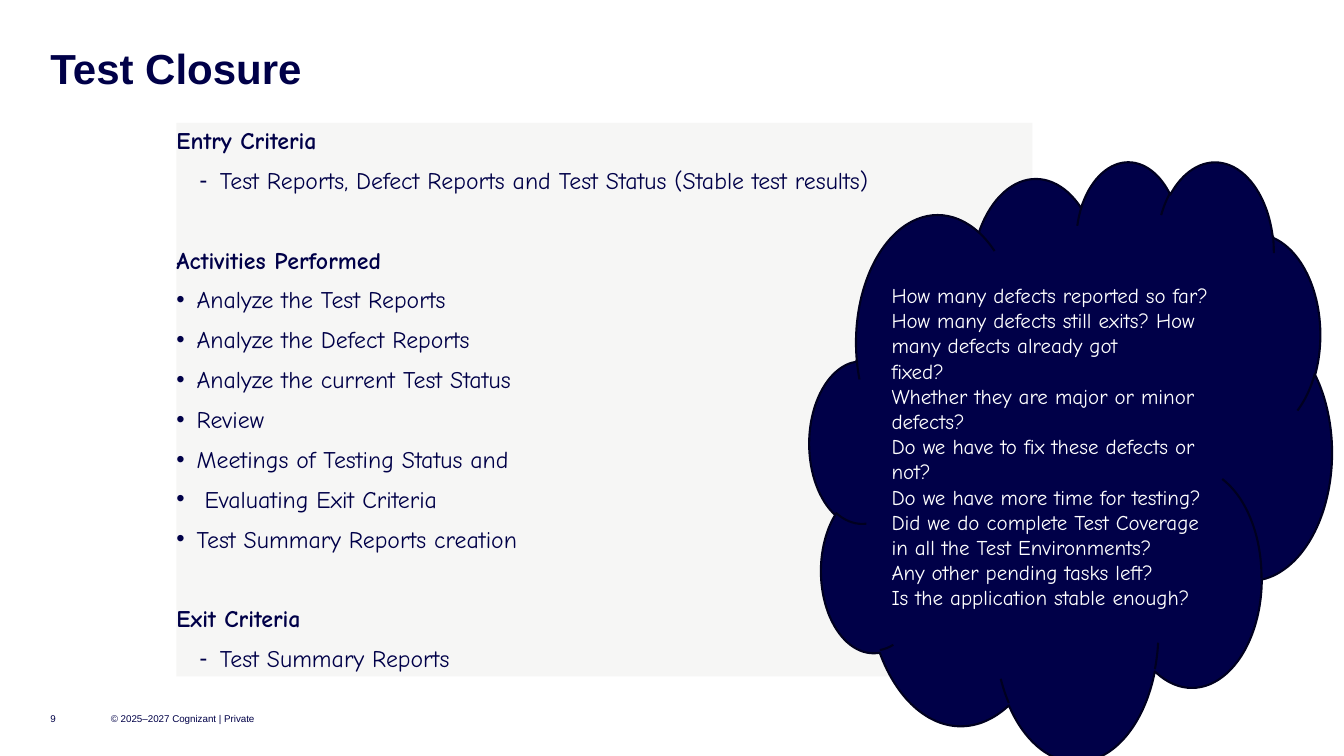
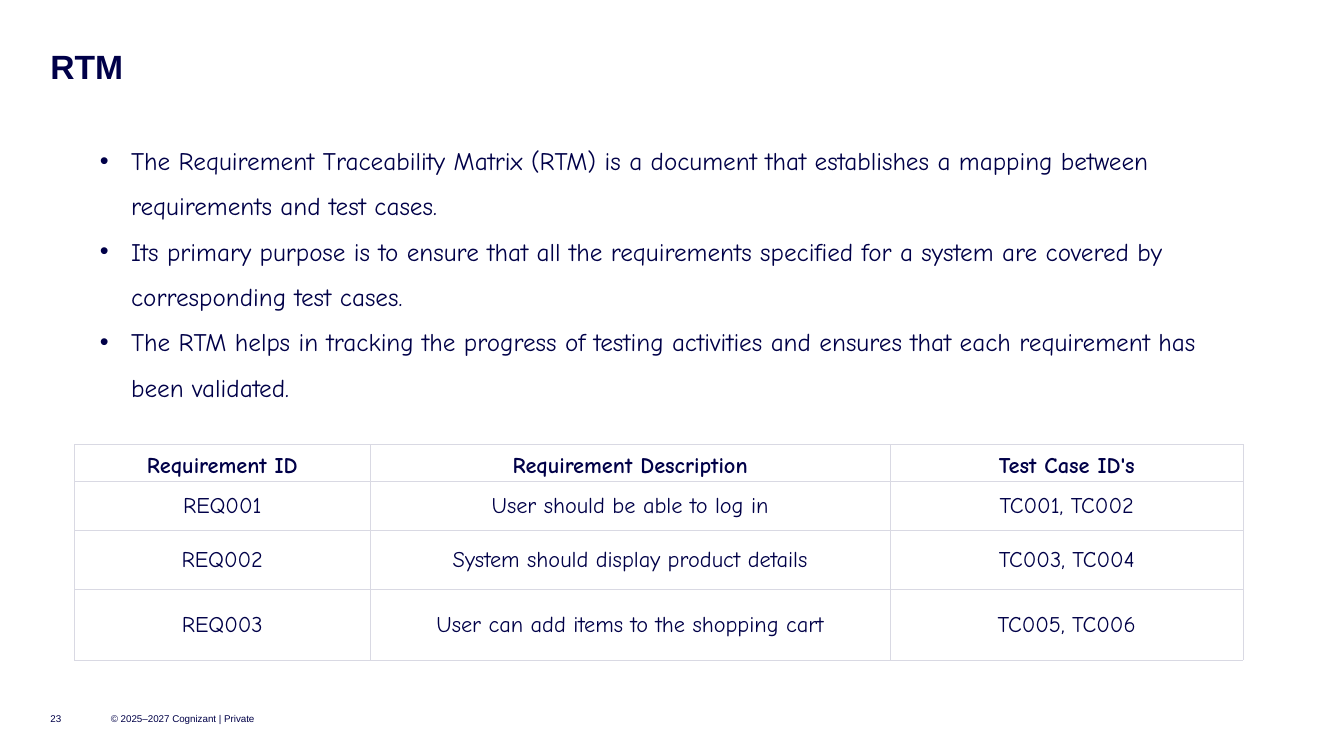
from dataclasses import dataclass
from typing import Optional

from lxml import etree
from pptx import Presentation
from pptx.dml.color import RGBColor
from pptx.enum.shapes import MSO_SHAPE
from pptx.enum.text import MSO_ANCHOR, MSO_AUTO_SIZE, PP_ALIGN
from pptx.oxml.ns import qn
from pptx.util import Inches, Pt

CLOUD = MSO_SHAPE.CLOUD
TOP, MIDDLE, BOTTOM = MSO_ANCHOR.TOP, MSO_ANCHOR.MIDDLE, MSO_ANCHOR.BOTTOM
LEFT, CENTER = PP_ALIGN.LEFT, PP_ALIGN.CENTER
NO_AUTOFIT = MSO_AUTO_SIZE.NONE

NAVY, CLOUD_EDGE, WHITE = "000048", "000020", "FFFFFF"
PANEL, GRID = "F6F6F5", "D9D9E3"
HEADING_FONT, BODY_FONT = "Arial", "Comic Neue"
COPYRIGHT = "© 2025–2027 Cognizant | Private"


@dataclass(frozen=True)
class Box:
    left: float
    top: float
    width: float
    height: float


@dataclass(frozen=True)
class TextStyle:
    size: float
    font: str = BODY_FONT
    color: str = NAVY
    bold: bool = False


@dataclass(frozen=True)
class ListStyle:
    text: TextStyle
    bullet: Optional[str] = None
    level: int = 0
    margin: float = 0
    hanging: float = 0
    line_spacing: float = 1.0
    space_before: float = 0


@dataclass(frozen=True)
class Section:
    heading: str
    style: ListStyle
    items: tuple[str, ...]


FOOTER = TextStyle(7, HEADING_FONT)
SECTION_GAP = 34.4
HEADING = ListStyle(TextStyle(17, bold=True), line_spacing=1.1, space_before=SECTION_GAP)
DOT = ListStyle(TextStyle(17), "•", 0, 0.2, 0.2, 1.1, 6)
DASH = ListStyle(TextStyle(17), "⁃", 1, 0.43, 0.2, 1.1, 6)
RTM_POINT = ListStyle(TextStyle(18), "•", 0, 0.31, 0.31, 1.5)
QUESTION = ListStyle(TextStyle(15, color=WHITE))

CLOSURE_SECTIONS = (
    Section("Entry Criteria", DASH, (
        "Test Reports, Defect Reports and Test Status (Stable test results)",
    )),
    Section("Activities Performed", DOT, (
        "Analyze the Test Reports",
        "Analyze the Defect Reports",
        "Analyze the current Test Status",
        "Review",
        "Meetings of Testing Status and",
        " Evaluating Exit Criteria",
        "Test Summary Reports creation",
    )),
    Section("Exit Criteria", DASH, ("Test Summary Reports",)),
)
CLOSURE_QUESTIONS = (
    "How many defects reported so far?",
    "How many defects still exits? How many defects already got",
    "fixed?",
    "Whether they are major or minor defects?",
    "Do we have to fix these defects or not?",
    "Do we have more time for testing?",
    "Did we do complete Test Coverage in all the Test Environments?",
    "Any other pending tasks left?",
    "Is the application stable enough?",
)
RTM_POINTS = (
    "The Requirement Traceability Matrix (RTM) is a document that establishes "
    "a mapping between requirements and test cases.",
    "Its primary purpose is to ensure that all the requirements specified for "
    "a system are covered by corresponding test cases.",
    "The RTM helps in tracking the progress of testing activities and ensures "
    "that each requirement has been validated.",
)
RTM_ROWS = (
    ("Requirement ID", "Requirement Description", "Test Case ID's"),
    ("REQ001", "User should be able to log in", "TC001, TC002"),
    ("REQ002", "System should display product details", "TC003, TC004"),
    ("REQ003", "User can add items to the shopping cart", "TC005, TC006"),
)
RTM_COLUMN_WIDTHS = (2.93, 5.16, 3.5)
RTM_ROW_HEIGHTS = (0.37, 0.48, 0.59, 0.7)


def rgb(color: str) -> RGBColor:
    return RGBColor.from_string(color)


def set_fill(target, color: str) -> None:
    target.fill.solid()
    target.fill.fore_color.rgb = rgb(color)


def place(shape, box: Box) -> None:
    shape.left, shape.top = Inches(box.left), Inches(box.top)
    shape.width, shape.height = Inches(box.width), Inches(box.height)


def set_frame(frame, inset: float, anchor) -> None:
    frame.word_wrap = True
    frame.auto_size = NO_AUTOFIT
    frame.vertical_anchor = anchor
    frame.margin_left = frame.margin_right = Inches(inset)
    frame.margin_top = frame.margin_bottom = Inches(inset)


def add_run(paragraph, text: str, style: TextStyle) -> None:
    run = paragraph.add_run()
    run.text = text
    run.font.name = style.font
    run.font.size = Pt(style.size)
    run.font.bold = style.bold
    run.font.color.rgb = rgb(style.color)


def set_bullet(paragraph, style: ListStyle) -> None:
    properties = paragraph._p.get_or_add_pPr()
    properties.set("marL", str(Inches(style.margin)))
    properties.set("indent", str(-Inches(style.hanging)))
    if style.bullet is None:
        etree.SubElement(properties, qn("a:buNone"))
        return
    bullet_color = etree.SubElement(properties, qn("a:buClr"))
    etree.SubElement(bullet_color, qn("a:srgbClr"), val=style.text.color)
    etree.SubElement(properties, qn("a:buFont"), typeface=HEADING_FONT)
    etree.SubElement(properties, qn("a:buChar"), char=style.bullet)


def write_list(frame, lines: list[tuple[str, ListStyle]]) -> None:
    for index, (text, style) in enumerate(lines):
        paragraph = frame.add_paragraph() if index else frame.paragraphs[0]
        paragraph.level = style.level
        paragraph.alignment = LEFT
        paragraph.line_spacing = style.line_spacing
        paragraph.space_before = Pt(style.space_before if index else 0)
        set_bullet(paragraph, style)
        add_run(paragraph, text, style.text)


def add_footer_text(slide, box: Box, text: str) -> None:
    shape = slide.shapes.add_textbox(0, 0, 0, 0)
    place(shape, box)
    set_frame(shape.text_frame, 0, MIDDLE)
    add_run(shape.text_frame.paragraphs[0], text, FOOTER)


def add_slide(presentation, title: str, title_box: Box, title_size: float, number: int):
    """Add a slide with the shared title and footer."""
    slide = presentation.slides.add_slide(presentation.slide_layouts[1])
    place(slide.shapes.title, title_box)
    frame = slide.shapes.title.text_frame
    set_frame(frame, 0, TOP)
    paragraph = frame.paragraphs[0]
    paragraph.alignment = LEFT
    paragraph.line_spacing = 0.9
    add_run(paragraph, title, TextStyle(title_size, HEADING_FONT, bold=True))
    add_footer_text(slide, Box(1.1, 7, 1.5, 0.25), COPYRIGHT)
    add_footer_text(slide, Box(0.5, 7, 0.4, 0.25), str(number))
    return slide


def fill_body(slide, box: Box, inset: float, lines: list[tuple[str, ListStyle]]):
    body = slide.placeholders[1]
    place(body, box)
    set_frame(body.text_frame, inset, TOP)
    write_list(body.text_frame, lines)
    return body


def add_cloud(slide, box: Box, questions: tuple[str, ...]) -> None:
    cloud = slide.shapes.add_shape(CLOUD, 0, 0, 0, 0)
    place(cloud, box)
    cloud.shadow.inherit = False
    set_fill(cloud, NAVY)
    cloud.line.color.rgb = rgb(CLOUD_EDGE)
    cloud.line.width = Pt(1.5)
    frame = cloud.text_frame
    frame.word_wrap = True
    frame.vertical_anchor = MIDDLE
    write_list(frame, [(question, QUESTION) for question in questions])


def set_borders(cell, top: float, bottom: float) -> None:
    properties = cell._tc.get_or_add_tcPr()
    for side, width in (("L", 0.5), ("R", 0.5), ("T", top), ("B", bottom)):
        line = etree.SubElement(properties, qn(f"a:ln{side}"), w=str(Pt(width)))
        fill = etree.SubElement(line, qn("a:solidFill"))
        etree.SubElement(fill, qn("a:srgbClr"), val=GRID)


def add_requirement_table(slide, left: float, top: float) -> None:
    table = slide.shapes.add_table(
        len(RTM_ROWS), len(RTM_COLUMN_WIDTHS), Inches(left), Inches(top),
        Inches(sum(RTM_COLUMN_WIDTHS)), Inches(sum(RTM_ROW_HEIGHTS)),
    ).table
    table.horz_banding = False
    for column, width in zip(table.columns, RTM_COLUMN_WIDTHS):
        column.width = Inches(width)
    last_row = len(RTM_ROWS) - 1
    for row_index, texts in enumerate(RTM_ROWS):
        is_header = row_index == 0
        table.rows[row_index].height = Inches(RTM_ROW_HEIGHTS[row_index])
        for column_index, text in enumerate(texts):
            cell = table.cell(row_index, column_index)
            set_borders(cell, 0.5 if is_header else 1, 0.5 if row_index == last_row else 1)
            set_fill(cell, WHITE)
            cell.margin_left = cell.margin_right = Inches(0.06)
            cell.margin_top = cell.margin_bottom = Inches(0.03)
            cell.vertical_anchor = BOTTOM if is_header else MIDDLE
            paragraph = cell.text_frame.paragraphs[0]
            paragraph.alignment = CENTER
            add_run(paragraph, text, TextStyle(16, bold=is_header))


def build_test_closure(presentation) -> None:
    slide = add_slide(presentation, "Test Closure", Box(0.5, 0.48, 12.33, 0.45), 30, 9)
    lines = []
    for section in CLOSURE_SECTIONS:
        lines.append((section.heading, HEADING))
        lines.extend((item, section.style) for item in section.items)
    body = fill_body(slide, Box(1.75, 1.22, 8.49, 5.49), 0, lines)
    set_fill(body, PANEL)
    add_cloud(slide, Box(8.03, 1.59, 5.18, 5.95), CLOSURE_QUESTIONS)


def build_rtm(presentation) -> None:
    slide = add_slide(presentation, "RTM", Box(0.5, 0.5, 12.33, 0.36), 24, 23)
    lines = [(point, RTM_POINT) for point in RTM_POINTS]
    fill_body(slide, Box(0.89, 1.19, 11.44, 2.93), 0.1, lines)
    add_requirement_table(slide, 0.74, 4.41)


def main() -> None:
    presentation = Presentation()
    presentation.slide_width = Inches(13.33)
    presentation.slide_height = Inches(7.5)
    build_test_closure(presentation)
    build_rtm(presentation)
    presentation.save("out.pptx")


if __name__ == "__main__":
    main()
